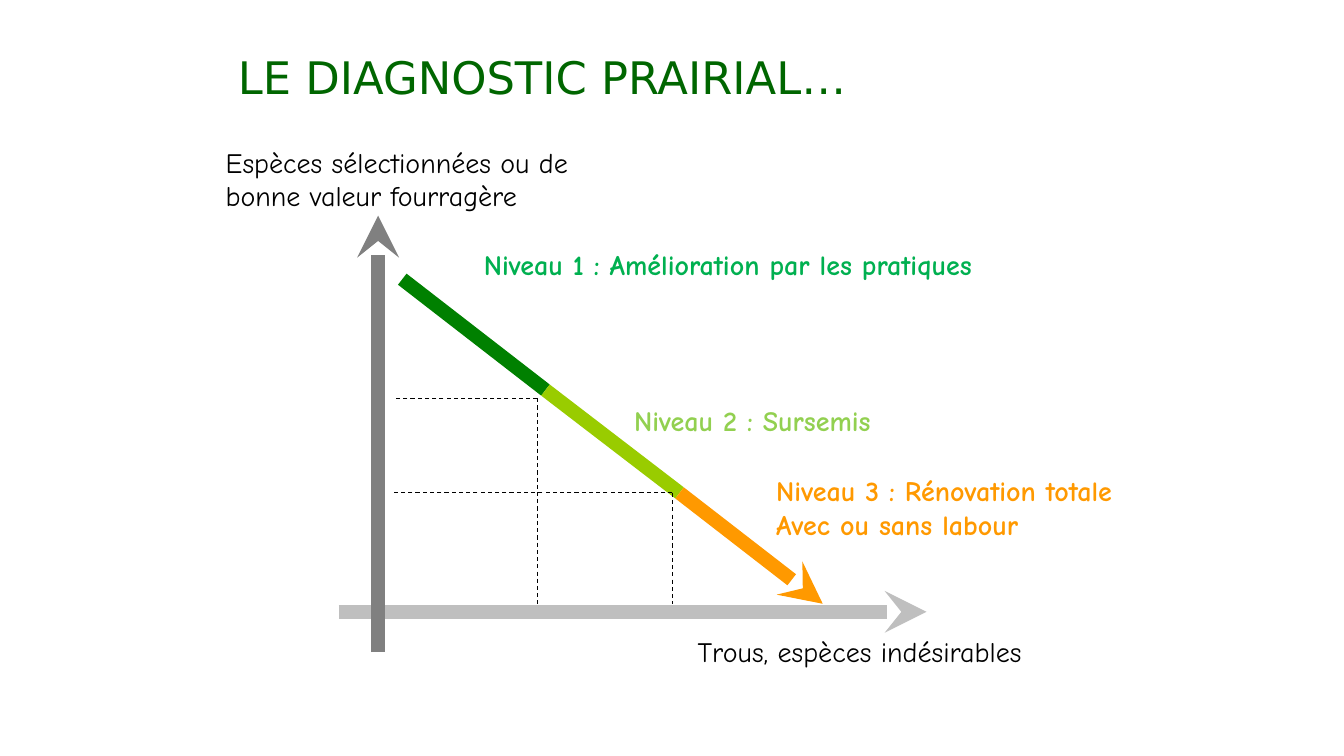
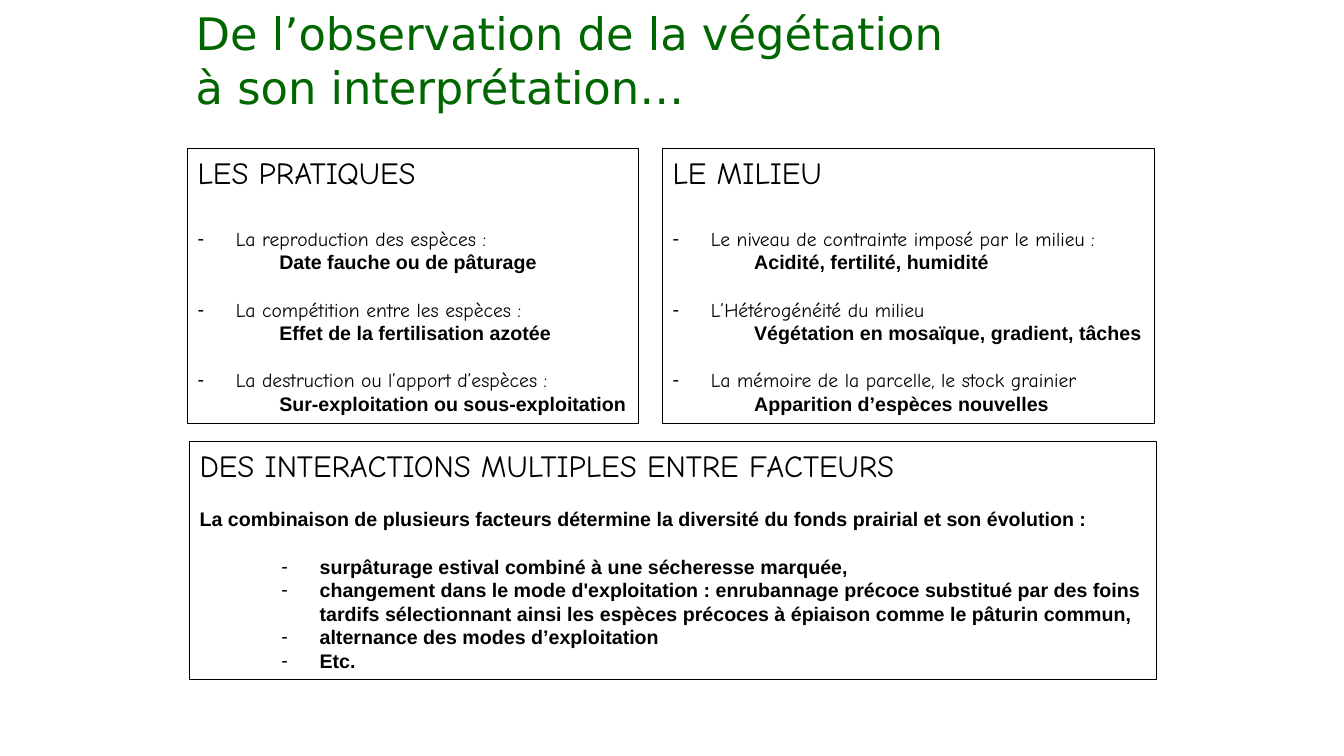
from lxml.etree import SubElement
from pptx import Presentation
from pptx.dml.color import RGBColor
from pptx.enum.dml import MSO_LINE
from pptx.enum.shapes import MSO_CONNECTOR
from pptx.enum.text import MSO_ANCHOR, MSO_AUTO_SIZE, PP_ALIGN
from pptx.oxml.ns import qn
from pptx.util import Pt

PX = 9144  # 100 px to the inch
BLACK, ORANGE = "000000", "FF9900"
TITLE = {"name": "DejaVu Sans", "size": Pt(32), "color": "006600", "bold": False}
LABEL = {"name": "Comic Neue", "size": Pt(20), "color": BLACK, "bold": False}
LEVEL = LABEL | {"bold": True}
HEADING = LABEL | {"size": Pt(22)}
ITEM = LABEL | {"size": Pt(14)}
STRONG = ITEM | {"name": "Arial", "bold": True}

# Paragraph styles: font format, left margin, first-line indent, bullet
STYLES = {
    "heading": (HEADING, 0, 0, None),
    "item": (ITEM, 38, -38, "-"),
    "detail": (STRONG, 81, 0, None),
    "intro": (STRONG, 0, 0, None),
    "example": (STRONG, 119, -38, "-"),
}

PRACTICES = [
    ("La reproduction des espèces :", "Date fauche ou de pâturage"),
    ("La compétition entre les espèces :", "Effet de la fertilisation azotée"),
    ("La destruction ou l’apport d’espèces :", "Sur-exploitation ou sous-exploitation"),
]
ENVIRONMENT = [
    ("Le niveau de contrainte imposé par le milieu :", "Acidité, fertilité, humidité"),
    ("L’Hétérogénéité du milieu", "Végétation en mosaïque, gradient, tâches"),
    ("La mémoire de la parcelle, le stock grainier", "Apparition d’espèces nouvelles"),
]
INTERACTIONS = [
    "surpâturage estival combiné à une sécheresse marquée,",
    "changement dans le mode d'exploitation : enrubannage précoce substitué par des foins "
    "tardifs sélectionnant ainsi les espèces précoces à épiaison comme le pâturin commun,",
    "alternance des modes d’exploitation",
    "Etc.",
]


def rgb(value):
    return RGBColor.from_string(value)


def place(sp, *box):
    for name, value in zip(("left", "top", "width", "height"), box):
        setattr(sp, name, value * PX)


def add_run(p, text, fmt):
    r = p.add_run()
    r.text = text
    for name, value in fmt.items():
        if name == "color":
            r.font.color.rgb = rgb(value)
        else:
            setattr(r.font, name, value)


def paragraphs(tf, count):
    return [tf.paragraphs[0]] + [tf.add_paragraph() for _ in range(count - 1)]


def fill_text(sp, lines, fmt, anchor=MSO_ANCHOR.TOP):
    tf = sp.text_frame
    tf.word_wrap, tf.auto_size = True, MSO_AUTO_SIZE.NONE
    tf.vertical_anchor = anchor
    for p, text in zip(paragraphs(tf, len(lines)), lines):
        p.alignment = PP_ALIGN.LEFT
        add_run(p, text, fmt)


def set_title(s, lines, *box):
    place(s.shapes.title, *box)
    fill_text(s.shapes.title, lines, TITLE, MSO_ANCHOR.MIDDLE)


def add_label(s, lines, fmt, *box):
    fill_text(s.shapes.add_textbox(*(v * PX for v in box)), lines, fmt)


def add_line(s, start, end, color, width=10, arrow=False, dash=None):
    line = s.shapes.add_connector(
        MSO_CONNECTOR.STRAIGHT, *(v * PX for v in (*start, *end)))
    line.line.color.rgb = rgb(color)
    line.line.width = Pt(width)
    if dash:
        line.line.dash_style = dash
    if arrow:
        SubElement(line.line._get_or_add_ln(), qn("a:tailEnd"), type="stealth")
    SubElement(line._element.spPr, qn("a:effectLst"))


def fill_panel(sp, box, content):
    """Frame a body placeholder and fill it with (style, text, space before)."""
    place(sp, *box)
    sp.line.color.rgb = rgb(BLACK)
    sp.line.width = Pt(0.75)
    tf = sp.text_frame
    tf.word_wrap, tf.auto_size = True, MSO_AUTO_SIZE.NONE
    tf.vertical_anchor, tf.margin_right = MSO_ANCHOR.TOP, 0
    for p, (style, text, gap) in zip(paragraphs(tf, len(content)), content):
        fmt, margin, indent, bullet = STYLES[style]
        pPr = p._p.get_or_add_pPr()
        pPr.set("marL", str(margin * PX))
        pPr.set("indent", str(indent * PX))
        if bullet:
            SubElement(pPr, qn("a:buChar"), char=bullet)
        else:
            SubElement(pPr, qn("a:buNone"))
        p.alignment, p.space_before = PP_ALIGN.LEFT, Pt(gap)
        add_run(p, text, fmt)


def factor_content(heading, pairs):
    content = [("heading", heading, 0)]
    for i, (item, detail) in enumerate(pairs):
        content += [("item", item, 17 if i else 26), ("detail", detail, 0)]
    return content


def interaction_content():
    intro = ("La combinaison de plusieurs facteurs détermine la diversité "
             "du fonds prairial et son évolution :")
    return [("heading", "DES INTERACTIONS MULTIPLES ENTRE FACTEURS", 0),
            ("intro", intro, 17)] + [
        ("example", text, 0 if i else 17) for i, text in enumerate(INTERACTIONS)]


def build_diagnosis(prs):
    s = prs.slides.add_slide(prs.slide_layouts[5])
    set_title(s, ["LE DIAGNOSTIC PRAIRIAL…"], 226, 44, 772, 64)
    add_line(s, (336, 607), (919, 607), "BFBFBF", arrow=True)
    add_line(s, (375, 647), (375, 214), "808080", arrow=True)

    add_label(s, ["Trous, espèces indésirables"], LABEL, 682, 625, 425, 43)
    add_label(s, ["Espèces sélectionnées ou de bonne valeur fourragère"],
              LABEL, 214, 139, 394, 77)
    for lines, color, box in (
        (["Niveau 3 : Rénovation totale", "Avec ou sans labour"], ORANGE, (760, 465, 411, 77)),
        (["Niveau 2 : Sursemis"], "92D050", (619, 395, 296, 44)),
        (["Niveau 1 : Amélioration par les pratiques"], "00B050", (470, 241, 606, 44)),
    ):
        add_label(s, lines, LEVEL | {"color": color}, *box)

    slope = [(399, 277), (541, 387), (674, 489), (816, 599)]
    for start, end, color in zip(slope, slope[1:], ("008000", "99CC00", ORANGE)):
        add_line(s, start, end, color, arrow=end == slope[-1])

    for x, y in ((533, 395), (667, 489)):
        for end in ((x, 599), (391, y)):
            add_line(s, (x, y), end, BLACK, 0.75, dash=MSO_LINE.DASH)


def build_interpretation(prs):
    s = prs.slides.add_slide(prs.slide_layouts[4])
    set_title(s, ["De l’observation de la végétation", "à son interprétation…"],
              184, 0, 945, 118)
    panels = (
        ((186, 147, 447, 273), factor_content("LES PRATIQUES", PRACTICES)),
        ((657, 147, 488, 273), factor_content("LE MILIEU", ENVIRONMENT)),
        ((188, 438, 959, 236), interaction_content()),
    )
    bodies = [sp for sp in s.placeholders if 1 <= sp.placeholder_format.idx <= 4]
    for sp, (box, content) in zip(bodies, panels):
        fill_panel(sp, box, content)
    for sp in bodies[len(panels):]:
        sp._element.getparent().remove(sp._element)


def main():
    prs = Presentation()
    prs.slide_width, prs.slide_height = 1333 * PX, 750 * PX
    build_diagnosis(prs)
    build_interpretation(prs)
    prs.save("out.pptx")


if __name__ == "__main__":
    main()
